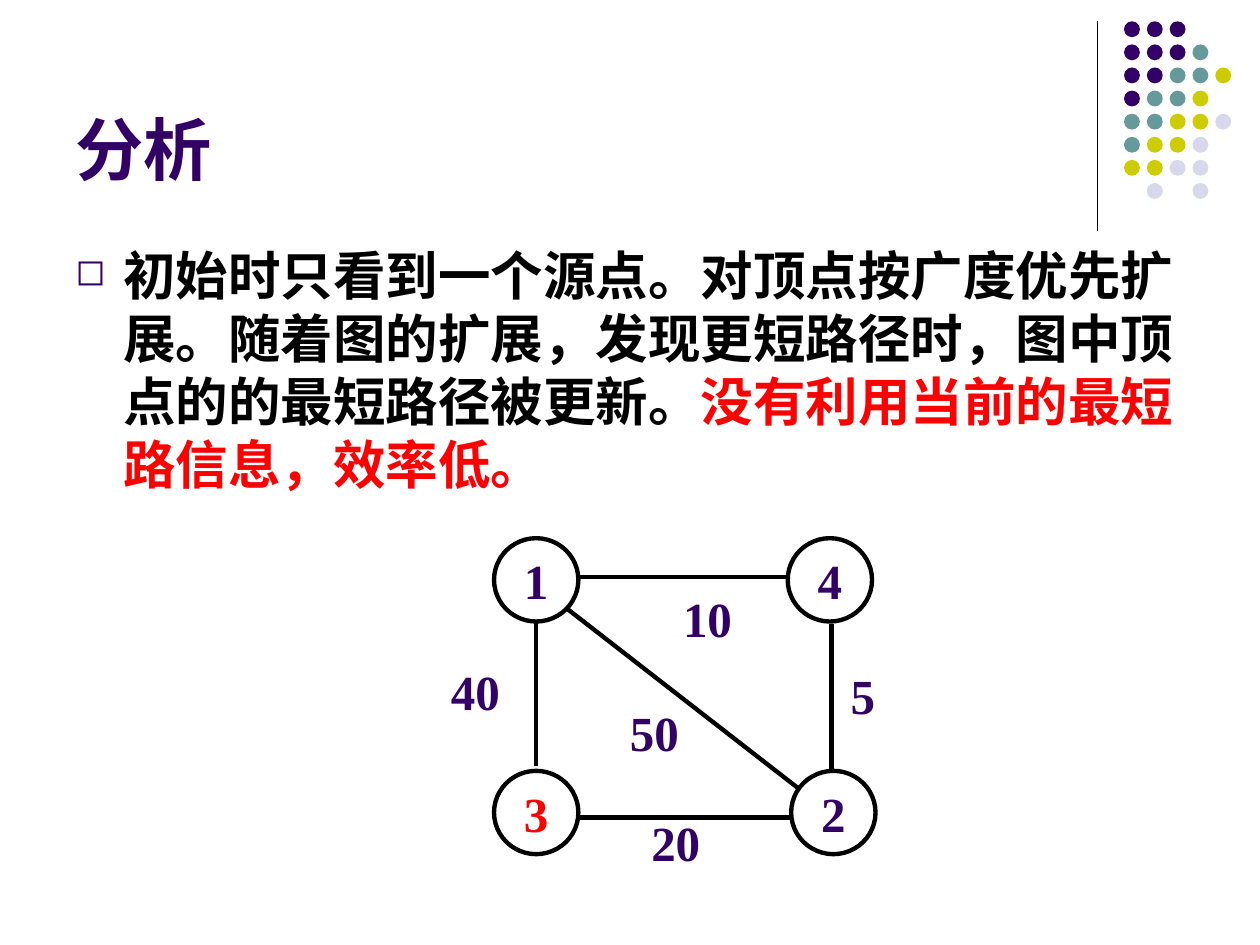
from typing import NamedTuple

from lxml import etree
from pptx import Presentation
from pptx.dml.color import RGBColor
from pptx.enum.shapes import MSO_CONNECTOR, MSO_SHAPE
from pptx.enum.text import MSO_ANCHOR, PP_ALIGN
from pptx.oxml.ns import qn
from pptx.util import Cm, Pt

OVAL = MSO_SHAPE.OVAL
STRAIGHT = MSO_CONNECTOR.STRAIGHT
TOP, MIDDLE, BOTTOM = MSO_ANCHOR.TOP, MSO_ANCHOR.MIDDLE, MSO_ANCHOR.BOTTOM
LEFT, CENTER = PP_ALIGN.LEFT, PP_ALIGN.CENTER

PURPLE = RGBColor(0x33, 0x00, 0x66)
TEAL = RGBColor(0x66, 0x99, 0x99)
OLIVE = RGBColor(0xCC, 0xCC, 0x00)
LAVENDER = RGBColor(0xD8, 0xD8, 0xEC)
BLACK = RGBColor(0x00, 0x00, 0x00)
RED = RGBColor(0xFF, 0x00, 0x00)

TEXT_FONT, GRAPH_FONT = "Arial", "Times New Roman"
GRAPH_SIZE, GRAPH_LINE = 28, 2.5

DOT_COLORS = {"P": PURPLE, "T": TEAL, "O": OLIVE, "L": LAVENDER}
DOT_ROWS = ("PPP", "PPPT", "PPTTO", "PTTO", "TTOOL", "TOOL", "OOLL", " L L")
DOT_LEFT, DOT_TOP, DOT_SIZE = 22.66, 0.43, 0.32
DOT_COLUMN_PITCH = 0.46
DOT_ROW_PITCH = (3.69 - DOT_TOP) / (len(DOT_ROWS) - 1)

NODE_WIDTH, NODE_HEIGHT, LABEL_HEIGHT = 1.7, 1.68, 1.19


class Node(NamedTuple):
    text: str
    left: float
    top: float
    color: RGBColor = PURPLE


class Edge(NamedTuple):
    x1: float
    y1: float
    x2: float
    y2: float


class Weight(NamedTuple):
    text: str
    left: float
    top: float
    width: float


NODES = (
    Node("1", 9.96, 10.85),
    Node("4", 15.88, 10.85),
    Node("3", 9.96, 15.54, RED),
    Node("2", 15.95, 15.54),
)
EDGES = (
    Edge(10.8, 12.5, 10.8, 15.44),
    Edge(11.63, 11.63, 15.88, 11.63),
    Edge(15.95, 16.48, 11.66, 16.48),
    Edge(11.43, 12.27, 16.08, 15.88),
    Edge(16.76, 12.57, 16.76, 15.54),
)
WEIGHTS = (
    Weight("5", 17.15, 13.41, 0.71),
    Weight("40", 9.09, 13.34, 1.35),
    Weight("50", 12.7, 14.17, 1.12),
    Weight("10", 13.77, 11.86, 1.27),
    Weight("20", 13.13, 16.38, 1.12),
)


def add_run(paragraph, text: str, font_name: str, size: float, color: RGBColor) -> None:
    run = paragraph.add_run()
    run.text = text
    run.font.name = font_name
    run.font.size = Pt(size)
    run.font.bold = True
    run.font.color.rgb = color


def prepare_frame(shape, anchor, alignment, margins: bool):
    """Set up the text frame and return its first paragraph."""
    frame = shape.text_frame
    frame.word_wrap = True
    frame.vertical_anchor = anchor
    if not margins:
        frame.margin_left = frame.margin_right = 0
        frame.margin_top = frame.margin_bottom = 0
    paragraph = frame.paragraphs[0]
    paragraph.alignment = alignment
    return paragraph


def add_text_box(slide, left: float, top: float, width: float, height: float,
                 anchor=TOP, margins: bool = True):
    """Add a text box and return its first paragraph."""
    box = slide.shapes.add_textbox(Cm(left), Cm(top), Cm(width), Cm(height))
    return prepare_frame(box, anchor, LEFT, margins)


def add_line(slide, edge: Edge, width: float) -> None:
    line = slide.shapes.add_connector(
        STRAIGHT, Cm(edge.x1), Cm(edge.y1), Cm(edge.x2), Cm(edge.y2))
    line.line.color.rgb = BLACK
    line.line.width = Pt(width)
    etree.SubElement(line._element.spPr, qn("a:effectLst"))


def add_oval(slide, left: float, top: float, width: float, height: float):
    oval = slide.shapes.add_shape(OVAL, Cm(left), Cm(top), Cm(width), Cm(height))
    oval.shadow.inherit = False
    return oval


def add_dots(slide) -> None:
    for row, codes in enumerate(DOT_ROWS):
        for column, code in enumerate(codes):
            if code == " ":
                continue
            dot = add_oval(slide, DOT_LEFT + column * DOT_COLUMN_PITCH,
                           DOT_TOP + row * DOT_ROW_PITCH, DOT_SIZE, DOT_SIZE)
            dot.fill.solid()
            dot.fill.fore_color.rgb = DOT_COLORS[code]
            dot.line.fill.background()


def add_node(slide, node: Node) -> None:
    oval = add_oval(slide, node.left, node.top, NODE_WIDTH, NODE_HEIGHT)
    oval.fill.background()
    oval.line.color.rgb = BLACK
    oval.line.width = Pt(GRAPH_LINE)
    paragraph = prepare_frame(oval, MIDDLE, CENTER, margins=False)
    add_run(paragraph, node.text, GRAPH_FONT, GRAPH_SIZE, node.color)


def add_weight(slide, weight: Weight) -> None:
    paragraph = add_text_box(slide, weight.left, weight.top, weight.width,
                             LABEL_HEIGHT, margins=False)
    add_run(paragraph, weight.text, GRAPH_FONT, GRAPH_SIZE, PURPLE)


def add_bullet(paragraph, character: str, color: RGBColor, percent: int, indent: float) -> None:
    properties = paragraph._p.get_or_add_pPr()
    properties.set("marL", str(Cm(indent)))
    properties.set("indent", str(-Cm(indent)))
    bullet_color = etree.SubElement(properties, qn("a:buClr"))
    etree.SubElement(bullet_color, qn("a:srgbClr"), val=str(color))
    etree.SubElement(properties, qn("a:buSzPct"), val=str(percent * 1000))
    etree.SubElement(properties, qn("a:buChar"), char=character)


def main() -> None:
    presentation = Presentation()
    presentation.slide_width, presentation.slide_height = Cm(25.4), Cm(19.05)
    slide = presentation.slides.add_slide(presentation.slide_layouts[6])

    add_line(slide, Edge(22.12, 0.43, 22.12, 4.65), 0.75)
    add_dots(slide)

    title = add_text_box(slide, 1.27, 0.33, 20.95, 3.61, BOTTOM)
    add_run(title, "分析", TEXT_FONT, 39, PURPLE)

    body = add_text_box(slide, 1.27, 4.78, 22.86, 12.24)
    add_bullet(body, "◻", PURPLE, 70, 0.97)
    add_run(body, "初始时只看到一个源点。对顶点按广度优先扩展。随着图的扩展，"
            "发现更短路径时，图中顶点的的最短路径被更新。", TEXT_FONT, 30, BLACK)
    add_run(body, "没有利用当前的最短路信息，效率低。", TEXT_FONT, 30, RED)

    for node in NODES:
        add_node(slide, node)
    for edge in EDGES:
        add_line(slide, edge, GRAPH_LINE)
    for weight in WEIGHTS:
        add_weight(slide, weight)

    presentation.save("out.pptx")


if __name__ == "__main__":
    main()
